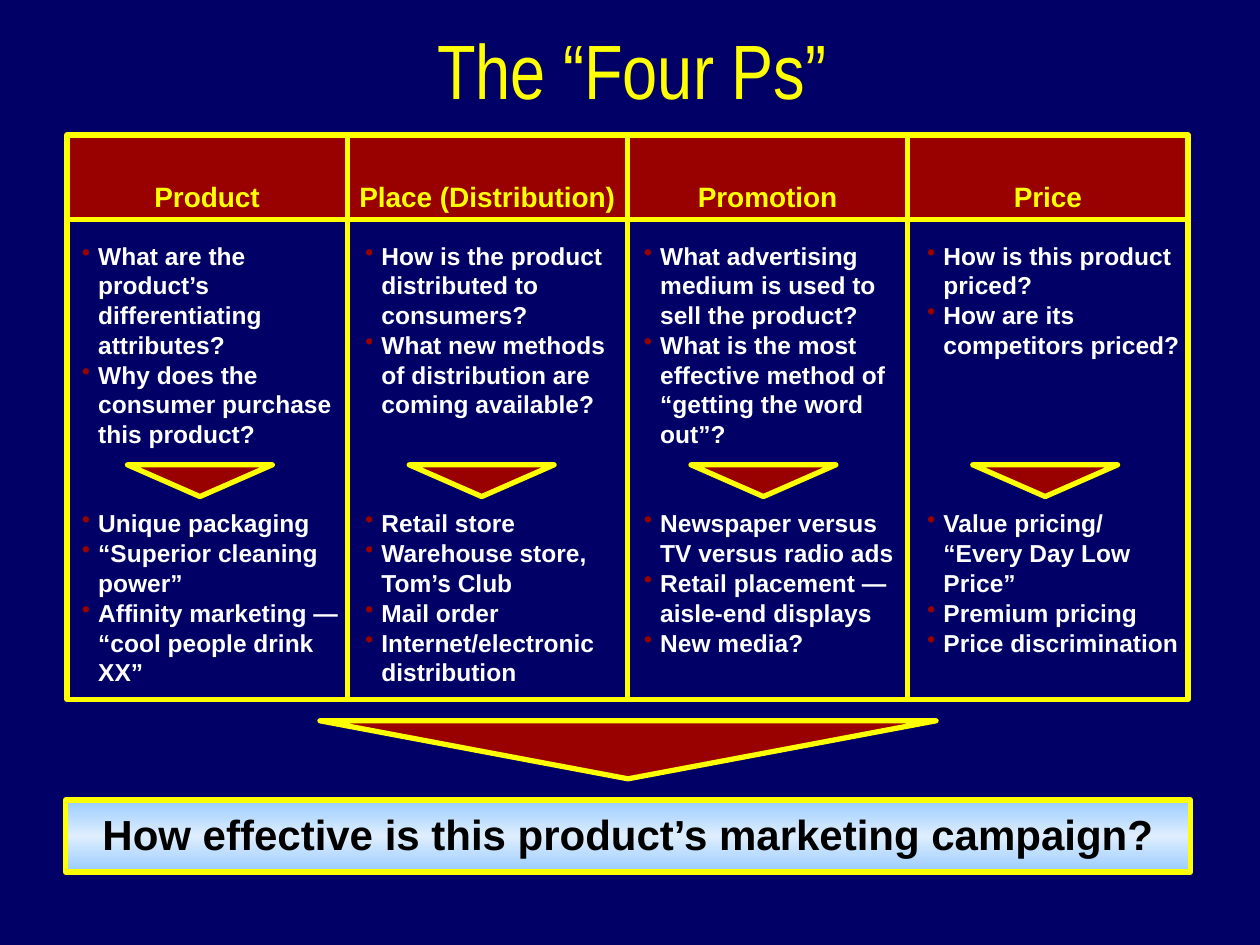
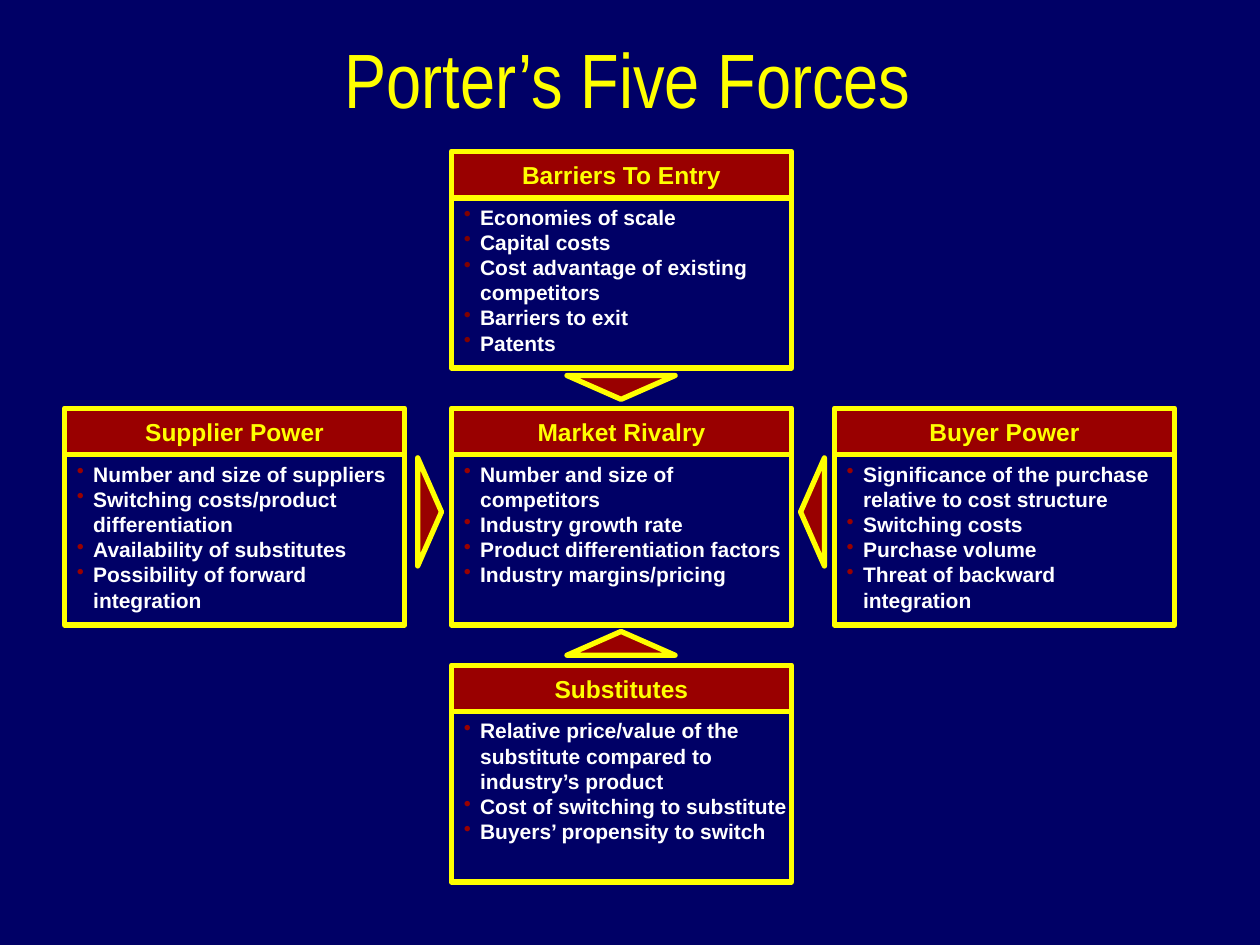
from copy import deepcopy
from lxml import etree
from pptx import Presentation
from pptx import util as u
from pptx.dml.color import RGBColor
from pptx.enum import shapes, text
from pptx.oxml.ns import qn

NAVY = RGBColor(0x00, 0x00, 0x66)
RED = RGBColor(0x99, 0x00, 0x00)
MAROON = RGBColor(0x80, 0x00, 0x00)
YELLOW = RGBColor(0xFF, 0xFF, 0x00)
WHITE = RGBColor(0xFF, 0xFF, 0xFF)
BLACK = RGBColor(0x00, 0x00, 0x00)
SKY = RGBColor(0x99, 0xCC, 0xFF)
PALE = RGBColor(0xDF, 0xEE, 0xFE)
RECT = shapes.MSO_SHAPE.RECTANGLE
WEDGE = shapes.MSO_SHAPE.ISOSCELES_TRIANGLE
TOP, MID, LOW = text.MSO_ANCHOR.TOP, text.MSO_ANCHOR.MIDDLE, text.MSO_ANCHOR.BOTTOM
PITCH = 17  # points between lines in the Four Ps columns


def draw(page, kind, place, fill=None, turn=0):
    """Add a yellow-edged shape; place is left, top, width, height in cm."""
    shape = page.shapes.add_shape(kind, *map(u.Cm, place))
    shape.shadow.inherit = False
    shape.rotation = turn
    if fill is None:
        shape.fill.background()
    else:
        shape.fill.solid()
        shape.fill.fore_color.rgb = fill
    shape.line.color.rgb = YELLOW
    shape.line.width = u.Pt(3)
    return shape


def write(shape, lines, size, color, anchor=TOP, sides=(0.25, 0.25), dot=None,
          face="Arial"):
    """Fill a shape with text: bulleted if dot gives a colour, else centred."""
    frame = shape.text_frame
    frame.word_wrap = True
    frame.vertical_anchor = anchor
    frame.margin_left, frame.margin_right = map(u.Cm, sides)
    frame.text = "\n".join(lines)
    for par in frame.paragraphs:
        par.font.size = u.Pt(size)
        par.font.name = face
        par.font.bold = face == "Arial"
        par.font.color.rgb = color
        par.alignment = text.PP_ALIGN.LEFT if dot else text.PP_ALIGN.CENTER
        if dot:
            props = par._p.get_or_add_pPr()
            props.set("marL", str(u.Cm(0.33)))
            props.set("indent", str(-u.Cm(0.33)))
            tint = etree.Element(qn("a:buClr"))
            etree.SubElement(tint, qn("a:srgbClr"), val=str(dot))
            mark = etree.Element(qn("a:buChar"), char="•")
            spot = props.find(qn("a:defRPr"))
            spot.addprevious(tint)
            spot.addprevious(mark)
    return frame.paragraphs


deck = Presentation()
deck.slide_width, deck.slide_height = u.Cm(25.4), u.Cm(19.05)

pages = []
for title, left, top in (("The “Four Ps”", 1.35, 0.46),
                         ("Porter’s Five Forces", 1.27, 0.64)):
    page = deck.slides.add_slide(deck.slide_layouts[6])
    page.background.fill.solid()
    page.background.fill.fore_color.rgb = NAVY
    head = page.shapes.add_textbox(u.Cm(left), u.Cm(top), u.Cm(22.78), u.Cm(1.47))
    head.text_frame.margin_top = head.text_frame.margin_bottom = 0
    write(head, [title], 44, YELLOW, sides=(0, 0), face="Arial Narrow")
    pages.append(page)
mix, forces = pages

# Four Ps: heading, text left, text width, rows the questions take, questions, answers
columns = (
    ("Product", 1.4, 5.8, 7,
     ["What are the product’s differentiating attributes?",
      "Why does the consumer purchase this product?"],
     ["Unique packaging", "“Superior cleaning power”",
      "Affinity marketing — “cool people drink XX”"]),
    ("Place (Distribution)", 7.11, 5.4, 6,
     ["How is the product distributed to consumers?",
      "What new methods of distribution are coming available?"],
     ["Retail store", "Warehouse store, Tom’s Club", "Mail order",
      "Internet/electronic distribution"]),
    ("Promotion", 12.73, 5.7, 7,
     ["What advertising medium is used to sell the product?",
      "What is the most effective method of “getting the word out”?"],
     ["Newspaper versus TV versus radio ads",
      "Retail placement — aisle-end displays", "New media?"]),
    ("Price", 18.44, 5.65, 4,
     ["How is this product priced?", "How are its competitors priced?"],
     ["Value pricing/\v“Every Day Low Price”", "Premium pricing",
      "Price discrimination"]),
)
EDGE, STEP = 1.35, 5.65
draw(mix, RECT, (EDGE, 4.42, 4 * STEP, 9.68))
for i, (name, left, width, rows, asks, replies) in enumerate(columns):
    x = EDGE + i * STEP
    if i:
        rule = mix.shapes.add_connector(shapes.MSO_CONNECTOR.STRAIGHT,
                                        u.Cm(x), u.Cm(3.4), u.Cm(x), u.Cm(14.15))
        rule.line.color.rgb = YELLOW
        rule.line.width = u.Pt(3)
        etree.SubElement(rule._element.spPr, qn("a:effectLst"))
    label = draw(mix, RECT, (x, 2.72, STEP, 1.7), RED)
    write(label, [name], 16, YELLOW, LOW, (0, 0))
    body = mix.shapes.add_textbox(u.Cm(left), u.Cm(4.72), u.Cm(width), u.Cm(9.1))
    pars = write(body, asks + replies, 14, WHITE, dot=RED)
    for par in pars:
        par.line_spacing = u.Pt(PITCH)
    pars[len(asks)].space_before = u.Pt((9 - rows) * PITCH)
    draw(mix, WEDGE, (2.57 + i * 5.68, 9.37, 2.92, 0.64), RED, 180)

draw(mix, WEDGE, (6.45, 14.53, 12.42, 1.17), RED, 180)
banner = draw(mix, RECT, (1.32, 16.13, 22.68, 1.45), SKY)
banner.fill.gradient()
banner.fill.gradient_angle = 90
first = banner._element.spPr.find(".//" + qn("a:gs"))
first.addnext(deepcopy(first))
for stop, spot, color in zip(banner.fill.gradient_stops, (0, 0.5, 1), (SKY, PALE, SKY)):
    stop.position = spot
    stop.color.rgb = color
write(banner, ["How effective is this product’s marketing campaign?"],
      24, BLACK, MID)[0].line_spacing = 0.95

# Five Forces: heading, grid column, grid row, bullet colour, points
panels = (
    ("Barriers To Entry", 1, 0, MAROON,
     ["Economies of scale", "Capital costs",
      "Cost advantage of existing competitors", "Barriers to exit", "Patents"]),
    ("Market Rivalry", 1, 1, RED,
     ["Number and size of competitors", "Industry growth rate",
      "Product differentiation factors", "Industry margins/pricing"]),
    ("Substitutes", 1, 2, RED,
     ["Relative price/value of the substitute compared to industry’s product",
      "Cost of switching to substitute", "Buyers’ propensity to switch"]),
    ("Supplier Power", 0, 1, RED,
     ["Number and size of suppliers", "Switching costs/product differentiation",
      "Availability of substitutes", "Possibility of forward integration"]),
    ("Buyer Power", 2, 1, RED,
     ["Significance of the purchase relative to cost structure",
      "Switching costs", "Purchase volume", "Threat of backward\vintegration"]),
)
LEFTS, WIDE, TALL = (1.3, 9.1, 16.82), 6.86, 0.94
for name, col, row, dot, points in panels:
    x, y = LEFTS[col], 3.05 + row * 5.18
    body = draw(forces, RECT, (x, y + TALL, WIDE, 3.43))
    write(body, points, 12, WHITE, sides=(0.25, 0.08), dot=dot)
    label = draw(forces, RECT, (x, y, WIDE, TALL), RED)
    write(label, [name], 14, YELLOW, MID)

for x, y, turn in ((11.43, 12.73, 0), (11.43, 7.57, 180),
                   (7.57, 10.08, 90), (15.29, 10.08, 270)):
    draw(forces, WEDGE, (x, y, 2.18, 0.48), RED, turn)

deck.save("out.pptx")
